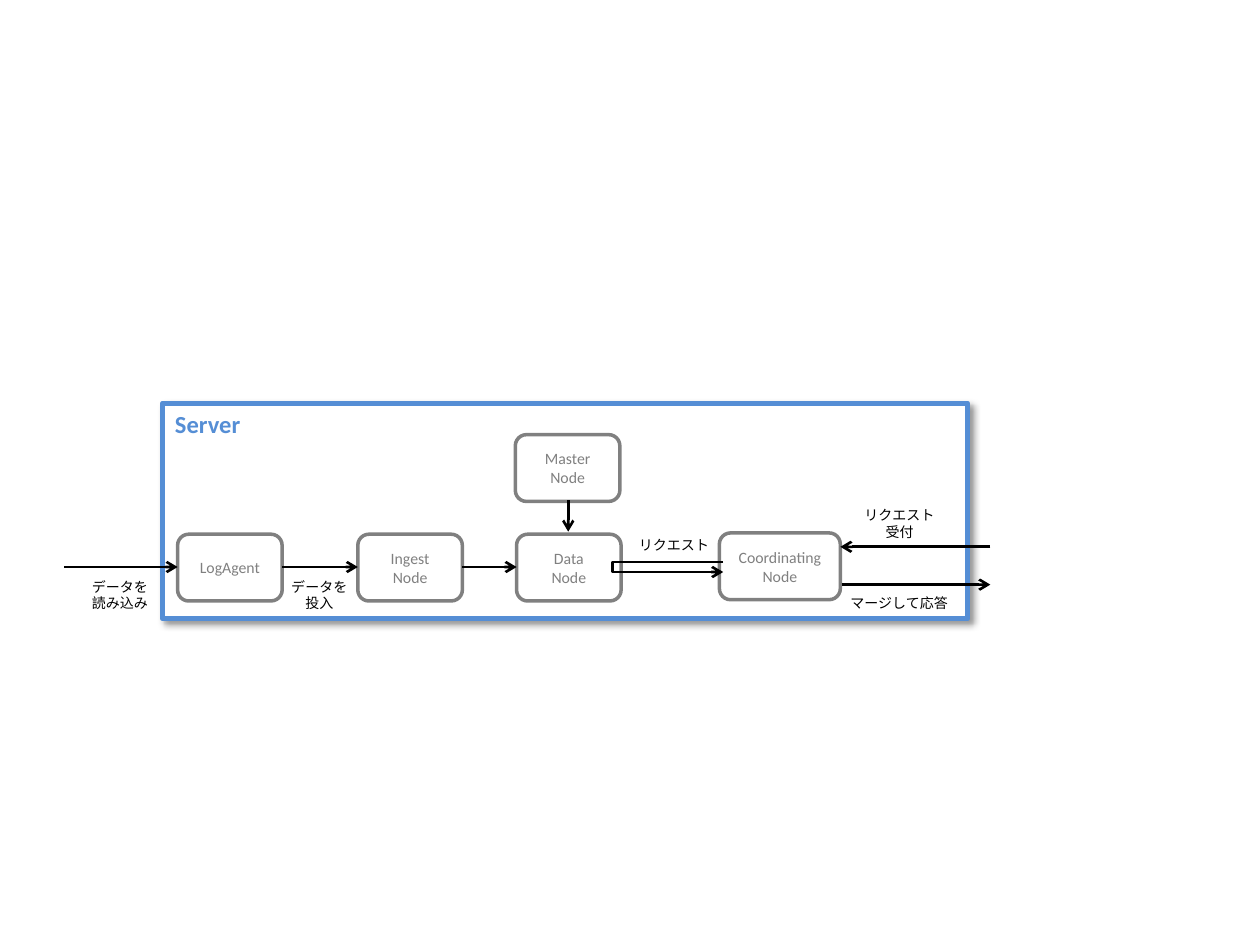
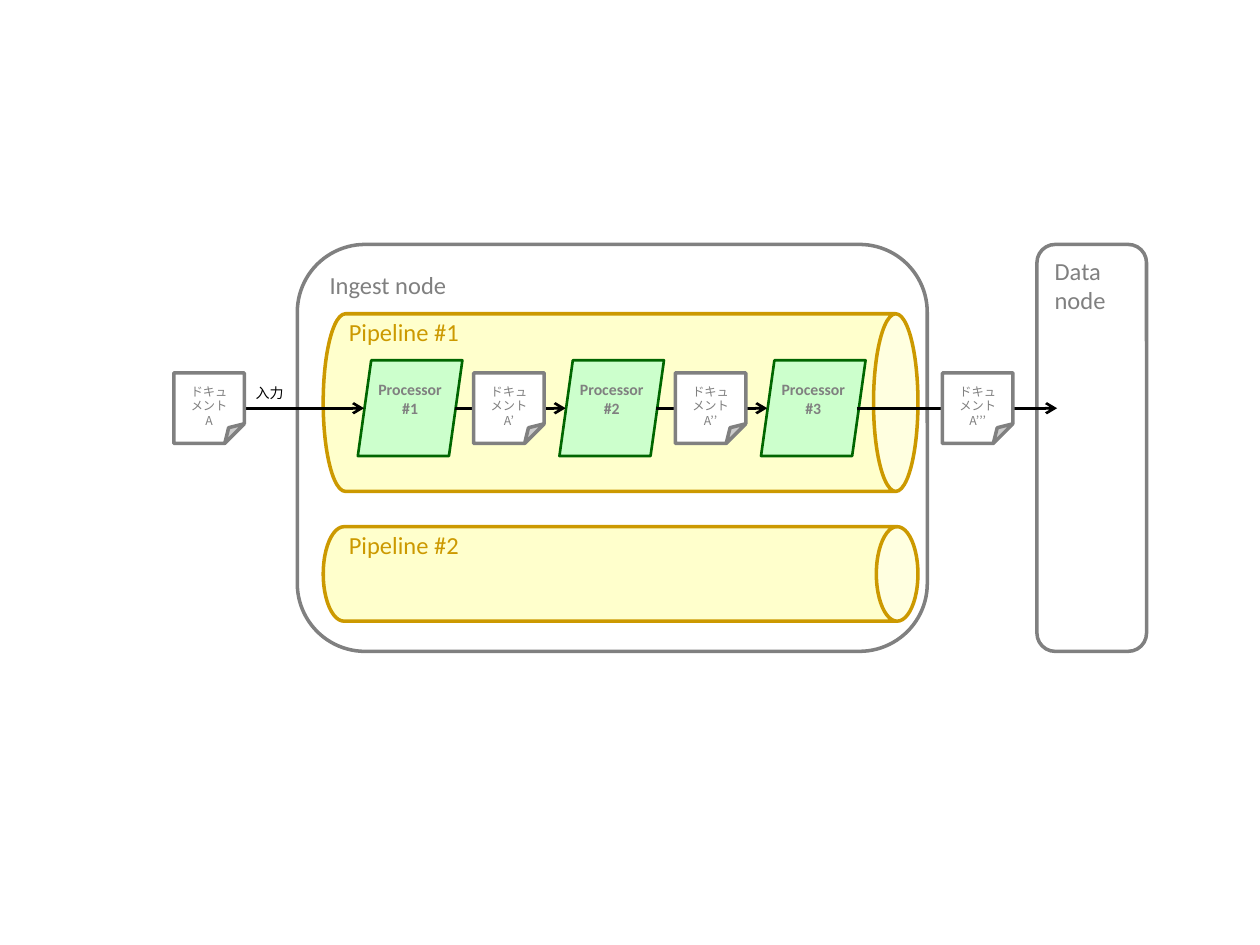
from lxml.etree import SubElement
from pptx import Presentation
from pptx.dml.color import RGBColor
from pptx.enum.shapes import MSO_CONNECTOR, MSO_SHAPE
from pptx.enum.text import MSO_ANCHOR, MSO_AUTO_SIZE, PP_ALIGN
from pptx.oxml.ns import qn
from pptx.util import Inches, Pt

SLIDE_W, SLIDE_H = Inches(10), Inches(7.5)
COLS, ROWS = 100, 75
LATIN, JAPANESE = "Calibri", "Noto Sans CJK JP"
COLORS = {
    "white": "FFFFFF", "black": "000000", "gray": "808080", "blue": "558ED5",
    "gold": "CC9900", "cream": "FFFFCC", "green": "006600", "mint": "CCFFCC",
}
TEXT = {
    "server": {"name": LATIN, "size": Pt(14), "bold": True, "color": "blue"},
    "group": {"name": LATIN, "size": Pt(14), "color": "gray"},
    "pipeline": {"name": LATIN, "size": Pt(14), "color": "gold"},
    "node": {"name": LATIN, "size": Pt(9), "color": "gray"},
    "processor": {"name": LATIN, "size": Pt(9), "bold": True, "color": "gray"},
    "document": {"name": JAPANESE, "size": Pt(7), "color": "gray"},
    "label": {"name": JAPANESE, "size": Pt(8), "color": "black"},
}
BOX = {"fill": "white", "line": "gray", "width": 2}
SERVER = {"fill": "white", "line": "blue", "width": 3}
CAN = {"fill": "cream", "line": "gold", "width": 2}
STEP = {"fill": "mint", "line": "green", "width": 1.5}


def col(n):
    """Return the length of n grid columns."""
    return round(SLIDE_W * n / COLS)


def row(n):
    """Return the length of n grid rows."""
    return round(SLIDE_H * n / ROWS)


def place(x, y, w, h):
    """Turn a grid box into slide lengths."""
    return col(x), row(y), col(w), row(h)


def rgb(name):
    """Look up a named colour."""
    return RGBColor.from_string(COLORS[name])


def set_attrs(target, values):
    """Set each attribute of target from a dict."""
    for key, value in values.items():
        setattr(target, key, value)


def write(tf, text, style, align, frame):
    """Fill a text frame, one paragraph per line of text."""
    set_attrs(tf, frame)
    fmt = dict(TEXT[style])
    color = rgb(fmt.pop("color"))
    for i, line in enumerate(text.split("\n")):
        p = tf.add_paragraph() if i else tf.paragraphs[0]
        p.alignment = align
        for j, part in enumerate(line.split("\v")):
            if j:
                p.add_line_break()
            r = p.add_run()
            r.text = part
            set_attrs(r.font, fmt)
            r.font.color.rgb = color
            SubElement(r.font._element, qn("a:ea"), typeface=fmt["name"])


def set_adjustment(sp, adj):
    """Set the only adjustment of a preset shape."""
    guides = sp._element.spPr.find(qn("a:prstGeom")).find(qn("a:avLst"))
    for guide in list(guides):
        guides.remove(guide)
    SubElement(guides, qn("a:gd"), name="adj", fmla=f"val {round(adj * 100000)}")


def add_box(s, kind, box, look, text="", style="node", align=PP_ALIGN.CENTER,
            adj=None, rotation=0, **frame):
    """Add a preset shape with its look and text."""
    sp = s.shapes.add_shape(kind, *place(*box))
    sp.shadow.inherit = False
    sp.rotation = rotation
    sp.fill.solid()
    sp.fill.fore_color.rgb = rgb(look["fill"])
    sp.line.color.rgb = rgb(look["line"])
    sp.line.width = Pt(look["width"])
    if adj is not None:
        set_adjustment(sp, adj)
    if text:
        write(sp.text_frame, text, style, align,
              {"vertical_anchor": MSO_ANCHOR.MIDDLE, "word_wrap": True, **frame})
    return sp


def add_group(s, kind, box, look, text, style):
    """Add a container with its title at the top left."""
    return add_box(s, kind, box, look, text, style, PP_ALIGN.LEFT,
                   vertical_anchor=MSO_ANCHOR.TOP)


def add_node(s, x, y, text, w=8.3):
    """Add a rounded node box."""
    add_box(s, MSO_SHAPE.ROUNDED_RECTANGLE, (x, y, w, 5.3), BOX, text)


def add_label(s, box, text, style="label", align=PP_ALIGN.CENTER, **frame):
    """Add a text box."""
    tf = s.shapes.add_textbox(*place(*box)).text_frame
    write(tf, text, style, align, frame)


def add_caption(s, box, text, align=PP_ALIGN.CENTER):
    """Add an unwrapped text box that grows with its text."""
    add_label(s, box, text, align=align, word_wrap=False,
              auto_size=MSO_AUTO_SIZE.SHAPE_TO_FIT_TEXT)


def style_arrow(sp):
    """Give a line its colour, width and arrowhead."""
    sp.line.color.rgb = rgb("black")
    sp.line.width = Pt(1.5)
    SubElement(sp.line._get_or_add_ln(), qn("a:tailEnd"), type="arrow")


def add_arrow(s, x1, y1, x2, y2):
    """Add a straight arrow between two grid points."""
    sp = s.shapes.add_connector(MSO_CONNECTOR.STRAIGHT, col(x1), row(y1),
                                col(x2), row(y2))
    style_arrow(sp)
    SubElement(sp._element.spPr, qn("a:effectLst"))


def add_bent_arrow(s, points):
    """Add an open outline that ends in an arrowhead."""
    start, *rest = [(col(x), row(y)) for x, y in points]
    builder = s.shapes.build_freeform(*start)
    builder.add_line_segments(rest, close=False)
    sp = builder.convert_to_shape()
    sp.shadow.inherit = False
    sp.fill.background()
    style_arrow(sp)


def add_shadow(sp):
    """Give a shape a soft shadow to the lower right."""
    effects = sp._element.spPr.find(qn("a:effectLst"))
    shadow = SubElement(effects, qn("a:outerShdw"), blurRad=str(Pt(4)),
                        dist=str(Pt(3)), dir="2700000", algn="tl", rotWithShape="0")
    color = SubElement(shadow, qn("a:srgbClr"), val=COLORS["black"])
    SubElement(color, qn("a:alpha"), val="40000")


def add_document(s, x, version):
    """Add a document with a folded corner."""
    add_box(s, MSO_SHAPE.FOLDED_CORNER, (x, 29.6, 5.6, 5.6), BOX,
            f"ドキュ\vメント\n{version}", "document", adj=0.278,
            margin_top=row(1.2), margin_bottom=0)


def add_processor(s, x, number):
    """Add a numbered processor step."""
    add_box(s, MSO_SHAPE.PARALLELOGRAM, (x, 28.6, 8.3, 7.6), STEP,
            f"Processor\n#{number}", "processor", adj=0.14, margin_left=0,
            margin_right=0, vertical_anchor=MSO_ANCHOR.TOP)


def add_pipeline(s, y, h, number, adj=None):
    """Add a lying can, given by its top and height."""
    length, middle = 47.2, 49.25
    add_box(s, MSO_SHAPE.CAN, (middle - h / 2, y + h / 2 - length / 2, h, length),
            CAN, adj=adj, rotation=90)
    add_label(s, (26.7, y - 0.2, 13.8, 3.9), f"Pipeline #{number}", "pipeline",
              PP_ALIGN.LEFT, word_wrap=True)


def build_server(s):
    """Draw the nodes of the server and the data flow between them."""
    top, mid = 42.4, 45
    add_shadow(add_group(s, MSO_SHAPE.RECTANGLE, (12.9, 32, 63.9, 17.1), SERVER,
                         "Server", "server"))
    add_node(s, 40.9, 34.5, "Master\nNode")
    add_node(s, 57.1, top - 0.1, "Coordinating\nNode", 9.6)
    for x, text in ((14.1, "LogAgent"), (28.4, "Ingest\nNode"), (41, "Data\nNode")):
        add_node(s, x, top, text)
    for x1, x2 in ((5.1, 14.1), (22.4, 28.4), (36.7, 41)):
        add_arrow(s, x1, mid, x2, mid)
    add_arrow(s, 45.1, 39.7, 45.1, 42.2)
    add_arrow(s, 78.6, 43.4, 66.7, 43.4)
    add_arrow(s, 66.8, 46.4, 78.6, 46.4)
    add_bent_arrow(s, ((57.4, 44.6), (48.6, 44.6), (48.6, 45.4), (57.4, 45.4)))
    add_caption(s, (6.3, 45.4, 6.5, 3.7), "データを\n読み込み", PP_ALIGN.LEFT)
    add_caption(s, (22.1, 45.4, 6.5, 3.7), "データを\n投入")
    add_caption(s, (49.7, 42.1, 7.6, 2.4), "リクエスト")
    add_caption(s, (67.6, 39.7, 7.6, 3.7), "リクエスト\n受付")
    add_caption(s, (66.5, 46.7, 9.9, 2.4), "マージして応答", PP_ALIGN.LEFT)


def build_pipelines(s):
    """Draw the ingest pipelines and the document passing through them."""
    mid, step = 32.4, 16
    for x, w, text in ((23.6, 50, "Ingest node"), (82.3, 8.7, "Data node")):
        add_group(s, MSO_SHAPE.ROUNDED_RECTANGLE, (x, 19.4, w, 32.3), BOX, text, "group")
    add_pipeline(s, 24.9, 14.1, 1)
    add_pipeline(s, 41.8, 7.5, 2, 0.44)
    for i in range(3):
        add_processor(s, 28.4 + i * step, i + 1)
    add_arrow(s, 19.3, mid, 28.9, mid)
    for i in range(2):
        add_arrow(s, 36.1 + i * step, mid, 44.9 + i * step, mid)
    add_arrow(s, 68, mid, 83.9, mid)
    for i, x in enumerate((13.8, 37.6, 37.6 + step, 74.8)):
        add_document(s, x, "A" + "’" * i)
    add_caption(s, (19.3, 30, 4.3, 2.4), "入力", PP_ALIGN.LEFT)


def main():
    """Build the slides and save them."""
    prs = Presentation()
    set_attrs(prs, {"slide_width": SLIDE_W, "slide_height": SLIDE_H})
    for build in (build_server, build_pipelines):
        build(prs.slides.add_slide(prs.slide_layouts[6]))
    prs.save("out.pptx")


main()
